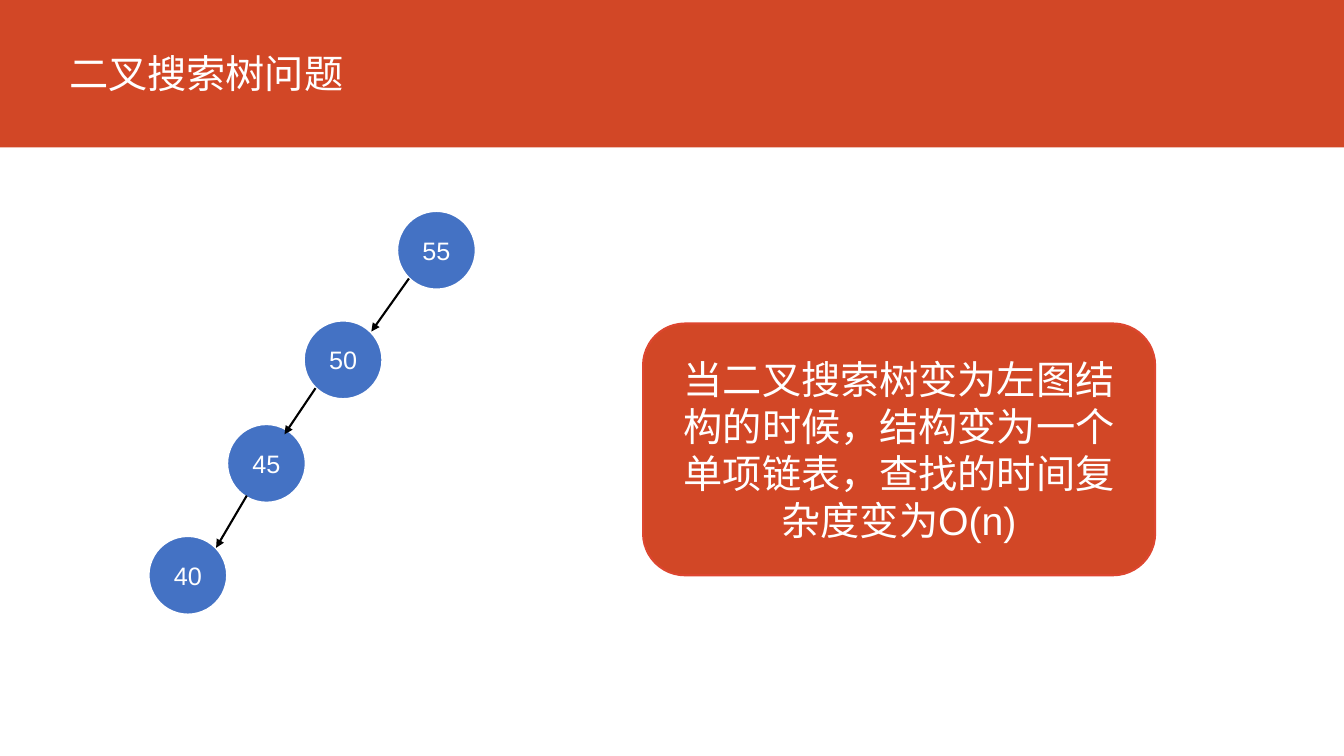
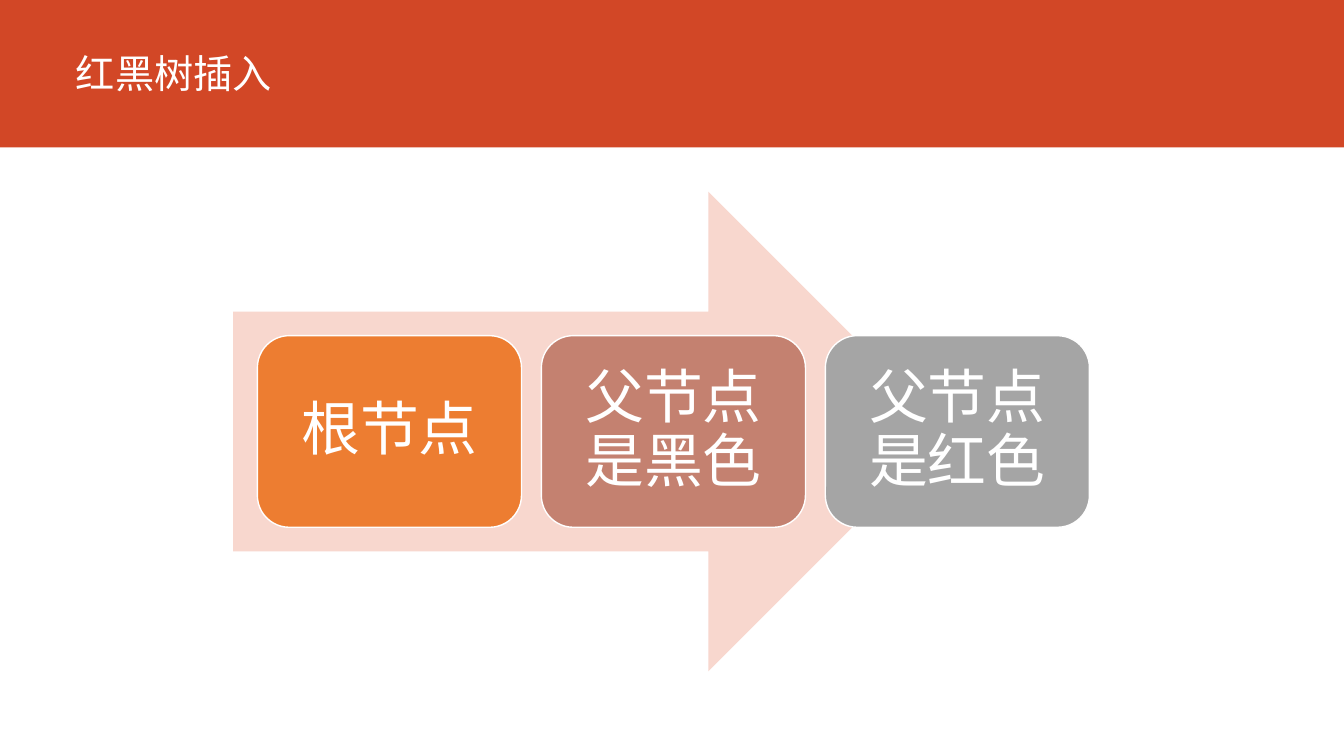
import pptx
import pptx.util
import pptx.dml.color
import pptx.enum.shapes
import pptx.enum.text
import pptx.oxml.ns
from lxml import etree

C = {"band": "D24726", "edge": "DD462F", "node": "4472C4", "white": "FFFFFF",
     "black": "000000", "arrow": "F8D7CE", "orange": "ED7D31",
     "rose": "C48170", "grey": "A5A5A5"}
SHAPE = pptx.enum.shapes.MSO_SHAPE
ANCHOR = pptx.enum.text.MSO_ANCHOR
ALIGN = pptx.enum.text.PP_ALIGN
Pt = pptx.util.Pt
RGB = pptx.dml.color.RGBColor.from_string
qn = pptx.oxml.ns.qn

prs = pptx.Presentation()
prs.slide_width = pptx.util.Inches(13.33)
prs.slide_height = pptx.util.Inches(7.5)
# The grid has 100 columns and 100 rows
COL, ROW = prs.slide_width / 100, prs.slide_height / 100


def put_text(sp, text, size, font, align=ALIGN.CENTER, spacing=1.0, **frame):
    """Write one paragraph; frame holds text frame attributes."""
    tf = sp.text_frame
    for name, value in {"word_wrap": True, "vertical_anchor": ANCHOR.MIDDLE, **frame}.items():
        setattr(tf, name, value)
    p = tf.paragraphs[0]
    p.alignment, p.line_spacing = align, spacing
    r = p.add_run()
    r.text = text
    for name, value in {"name": font, "size": Pt(size), "bold": False}.items():
        setattr(r.font, name, value)
    r.font.color.rgb = RGB(C["white"])
    r.font._element.find(qn("a:latin")).addnext(
        etree.Element(qn("a:ea"), typeface=font))


def add_box(s, kind, x, y, w, h, fill, line=None, width=1.5):
    """Add a preset shape, placed in columns and rows."""
    sp = s.shapes.add_shape(kind, int(x * COL), int(y * ROW), int(w * COL), int(h * ROW))
    sp.shadow.inherit = False
    sp.fill.solid()
    sp.fill.fore_color.rgb = RGB(C[fill])
    if line:
        sp.line.color.rgb = RGB(C[line])
        sp.line.width = Pt(width)
    else:
        sp.line.fill.background()
    return sp


# Slides and their titles
layout = prs.slide_layouts.get_by_name("Title Only")
slides = []
for title, x, w in [("二叉搜索树问题", 4.4, 32.1), ("红黑树插入", 4.9, 88.2)]:
    s = prs.slides.add_slide(layout)
    sp = s.shapes.title
    place = {"left": x * COL, "top": 5.07 * ROW, "width": w * COL, "height": 8.3 * ROW}
    for name, value in place.items():
        setattr(sp, name, int(value))
    put_text(sp, title, 28, "Noto Sans CJK SC", ALIGN.LEFT,
             vertical_anchor=ANCHOR.BOTTOM, auto_size=pptx.enum.text.MSO_AUTO_SIZE.NONE)
    slides.append(s)

# Title band, moved to the layout so that both slides share it
band = add_box(slides[0], SHAPE.RECTANGLE, 0, 0, 100, 19.5, "band")
layout.shapes.element.insert(2, band.element)

# Slide 1: tree nodes, from the root down
s = slides[0]
NODE_W, NODE_H = 5.85, 10.4
nodes = [("55", 29.55, 27.9), ("50", 22.6, 42.4), ("45", 16.9, 56.1), ("40", 11.05, 70.9)]
circles = []
for label, x, y in nodes:
    sp = add_box(s, SHAPE.OVAL, x, y, NODE_W, NODE_H, "node", "white")
    put_text(sp, label, 18, "Arial")
    circles.append(sp)

# Arrows between neighbours; ends are shares of the parent's and child's size
ends = [(0.15, 0.86, 0.86, 0.14), (0.15, 0.86, 0.73, 0.13), (0.25, 0.91, 0.86, 0.15)]
for parent, child, (x1, y1, x2, y2) in zip(circles, circles[1:], ends):
    cx = s.shapes.add_connector(
        pptx.enum.shapes.MSO_CONNECTOR.STRAIGHT,
        int(parent.left + x1 * parent.width), int(parent.top + y1 * parent.height),
        int(child.left + x2 * child.width), int(child.top + y2 * child.height))
    cx.line.color.rgb = RGB(C["black"])
    cx.line.width = Pt(1.5)
    etree.SubElement(cx.line._get_or_add_ln(), qn("a:tailEnd"), type="triangle")
    etree.SubElement(cx.element.spPr, qn("a:effectLst"))

# Callout
sp = add_box(s, SHAPE.ROUNDED_RECTANGLE, 47.85, 42.8, 38.1, 33.3, "band", "edge")
put_text(sp, "当二叉搜索树变为左图结构的时候，结构变为一个单项链表，查找的时间复杂度变为O(n)",
         28, "Arial")

# Slide 2: big arrow with three equal cards
s = slides[1]
add_box(s, SHAPE.RIGHT_ARROW, 17.35, 25.35, 53.2, 63.45, "arrow")
CARD_W, GAP = 19.65, 1.48
inset = pptx.util.Inches(0.17)
margins = {f"margin_{side}": inset for side in ("left", "top", "right", "bottom")}
cards = [("根节点", "orange"), ("父节点是黑色", "rose"), ("父节点是红色", "grey")]
for i, (label, fill) in enumerate(cards):
    sp = add_box(s, SHAPE.ROUNDED_RECTANGLE, 19.15 + i * (CARD_W + GAP), 44.4,
                 CARD_W, 25.35, fill, "white", 1)
    put_text(sp, label, 42, "Arial", spacing=0.9, **margins)

prs.save("out.pptx")
